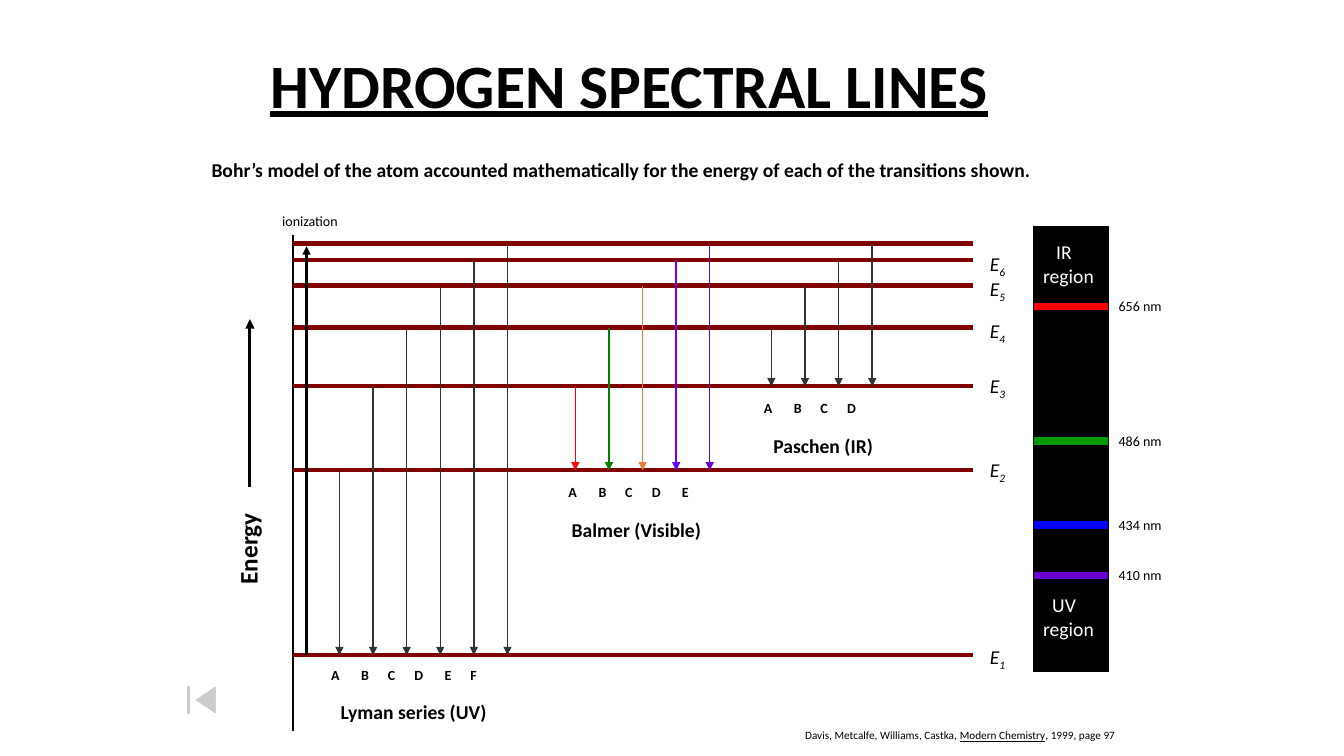
import pptx
import pptx.dml.color
import pptx.enum.shapes
import pptx.enum.text
import pptx.oxml
import pptx.oxml.ns
import pptx.util

Pt = pptx.util.Pt
RGBColor = pptx.dml.color.RGBColor
SHAPE = pptx.enum.shapes.MSO_SHAPE

BLACK = RGBColor(0x00, 0x00, 0x00)
WHITE = RGBColor(0xFF, 0xFF, 0xFF)
MAROON = RGBColor(0x80, 0x00, 0x00)
GRAY = RGBColor(0x33, 0x33, 0x33)
RED = RGBColor(0xFF, 0x00, 0x00)
GREEN = RGBColor(0x00, 0x80, 0x00)
BAND_GREEN = RGBColor(0x00, 0x99, 0x00)
ORANGE = RGBColor(0xED, 0x7D, 0x31)
BLUE = RGBColor(0x00, 0x00, 0xFF)
VIOLET = RGBColor(0x66, 0x00, 0xFF)
PURPLE = RGBColor(0x66, 0x00, 0xCC)

AXIS_X, LEVEL_END = 209, 695
LEVEL_Y = {1: 468, 2: 336, 3: 276, 4: 234, 5: 204, 6: 186, 7: 174}
LEVEL_LABEL_TOP = {1: 457, 2: 323.5, 3: 263.5, 4: 224, 5: 194.5, 6: 176.5}
ARROW_STEP = 24
LETTER_TABS = (21.5, 40.5, 59.5, 81, 99.5)

# name, lower level, first arrow x, arrow colours, label left, label top, name indent
SERIES = (
    ("Lyman series (UV)", 1, 242.5, [GRAY] * 6, 229.5, 472.5, 6.8),
    ("Balmer (Visible)", 2, 411, [RED, GREEN, ORANGE, VIOLET, PURPLE], 399, 342, 2.3),
    ("Paschen (IR)", 3, 551, [GRAY] * 4, 538.5, 282, 6.8),
)
SPECTRUM_LEFT, SPECTRUM_WIDTH = 738, 54
BAND_HEIGHT = 6
BANDS = (("656 nm", 216, RED), ("486 nm", 312, BAND_GREEN),
         ("434 nm", 372, BLUE), ("410 nm", 408, PURPLE))
REGIONS = (("IR", 168, 9.3), ("UV", 420, 6.5))


def add_span(para, text, size=14, color=BLACK, bold=False, italic=False,
             underline=False, baseline=None):
    span = para.add_run()
    span.text = text
    font = span.font
    font.name, font.size, font.color.rgb = "Calibri", Pt(size), color
    font.bold, font.italic, font.underline = bold, italic, underline
    if baseline is not None:
        font._element.set("baseline", str(baseline))
    return span


def add_child(parent, tag, **attributes):
    child = pptx.oxml.parse_xml(f"<a:{tag} {pptx.oxml.ns.nsdecls('a')}/>")
    for name, value in attributes.items():
        child.set(name, str(value))
    parent.append(child)
    return child


def indent(para, distance):
    properties = para._p.get_or_add_pPr()
    properties.set("marL", str(Pt(distance)))
    properties.set("indent", "0")


def set_tabs(para, stops):
    tabs = add_child(para._p.get_or_add_pPr(), "tabLst")
    for stop in stops:
        add_child(tabs, "tab", pos=Pt(stop), algn="l")


class Diagram:
    """Holds the current slide and draws each kind of element, in points."""

    def __init__(self, slide):
        self.slide = slide

    def title(self, text, left, top, width, height):
        box = self.slide.shapes.title
        box.left, box.top, box.width, box.height = map(Pt, (left, top, width, height))
        box.fill.solid()
        box.fill.fore_color.rgb = WHITE
        frame = box.text_frame
        frame.auto_size = pptx.enum.text.MSO_AUTO_SIZE.NONE
        frame.vertical_anchor = pptx.enum.text.MSO_ANCHOR.MIDDLE
        para = frame.paragraphs[0]
        para.alignment = pptx.enum.text.PP_ALIGN.LEFT
        para.line_spacing = 0.9
        add_span(para, text, size=44, bold=True, underline=True)

    def box(self, left, top, width, height):
        box = self.slide.shapes.add_textbox(*map(Pt, (left, top, width, height)))
        box.text_frame.word_wrap = True
        return box

    def label(self, text, left, top, width, height, **style):
        box = self.box(left, top, width, height)
        add_span(box.text_frame.paragraphs[0], text, **style)
        return box

    def line(self, start, end, color, weight, arrow=False):
        line = self.slide.shapes.add_connector(
            pptx.enum.shapes.MSO_CONNECTOR.STRAIGHT, *map(Pt, (*start, *end)))
        line.line.color.rgb = color
        line.line.width = Pt(weight)
        if arrow:
            add_child(line.line._get_or_add_ln(), "tailEnd", type="triangle")
        add_child(line._element.spPr, "effectLst")

    def shape(self, kind, left, top, width, height, fill, outline):
        shape = self.slide.shapes.add_shape(kind, *map(Pt, (left, top, width, height)))
        shape.shadow.inherit = False
        shape.fill.solid()
        shape.fill.fore_color.rgb = fill
        shape.line.color.rgb = outline
        shape.line.width = Pt(0.75)
        return shape

    def series_label(self, name, letters, left, top, name_indent):
        frame = self.box(left, top, 130, 48).text_frame
        para = frame.paragraphs[0]
        set_tabs(para, LETTER_TABS[:len(letters) - 1])
        add_span(para, "\t".join(letters), size=10, bold=True)
        para = frame.add_paragraph()
        indent(para, name_indent)
        para.space_before = Pt(12.2)
        add_span(para, name, bold=True)

    def region_label(self, name, top, name_indent):
        box = self.box(SPECTRUM_LEFT, top, SPECTRUM_WIDTH, 41)
        box.text_frame.margin_right = 0
        para = box.text_frame.paragraphs[0]
        indent(para, name_indent)
        add_span(para, name, color=WHITE)
        add_span(box.text_frame.add_paragraph(), "region", color=WHITE)


def draw_levels(diagram):
    diagram.line((AXIS_X, 168), (AXIS_X, 522), BLACK, 1.5)
    for y in LEVEL_Y.values():
        diagram.line((AXIS_X, y), (LEVEL_END, y), MAROON, 3)
    for level, top in LEVEL_LABEL_TOP.items():
        box = diagram.label("E", 700, top, 28, 24.5, italic=True)
        add_span(box.text_frame.paragraphs[0], str(level), italic=True, baseline=-25000)


def draw_series(diagram):
    for name, lower, first_x, colors, left, top, name_indent in SERIES:
        for index, color in enumerate(colors):
            x = first_x + index * ARROW_STEP
            upper = lower + 1 + index
            diagram.line((x, LEVEL_Y[upper]), (x, LEVEL_Y[lower]), color, 1, arrow=True)
        diagram.series_label(name, "ABCDEF"[:len(colors)], left, top, name_indent)


def draw_spectrum(diagram):
    diagram.shape(SHAPE.RECTANGLE, SPECTRUM_LEFT, 162, SPECTRUM_WIDTH, 318, BLACK, BLACK)
    for wavelength, top, color in BANDS:
        diagram.shape(SHAPE.RECTANGLE, SPECTRUM_LEFT, top, SPECTRUM_WIDTH,
                      BAND_HEIGHT, color, BLACK)
        diagram.label(wavelength, 792, top + BAND_HEIGHT / 2 - 9.7, 50, 19.4, size=10)
    for region in REGIONS:
        diagram.region_label(*region)


def main():
    deck = pptx.Presentation()
    deck.slide_width, deck.slide_height = Pt(960), Pt(540)
    diagram = Diagram(deck.slides.add_slide(deck.slide_layouts[5]))

    diagram.title("HYDROGEN SPECTRAL LINES", 186, 18, 612, 90)
    diagram.label("Bohr’s model of the atom accounted mathematically for the energy "
                  "of each of the transitions shown.", 144, 109, 610, 24.5, bold=True)
    draw_levels(diagram)
    draw_series(diagram)
    draw_spectrum(diagram)

    energy = diagram.label("Energy", 144, 377, 66, 29, size=18, bold=True)
    energy.text_frame.word_wrap = False
    energy.rotation = 270
    diagram.line((178.5, 348), (178.5, 228), BLACK, 2.25, arrow=True)
    diagram.line((219, LEVEL_Y[1]), (219, 176), BLACK, 1.75, arrow=True)
    diagram.label("ionization", 194.5, 148, 60, 19.5, size=10)

    source = diagram.label("Davis, Metcalfe, Williams, Castka, ", 568, 517, 250, 17, size=8)
    para = source.text_frame.paragraphs[0]
    add_span(para, "Modern Chemistry", size=8, underline=True)
    add_span(para, ", 1999, page 97", size=8)

    button = diagram.shape(SHAPE.ACTION_BUTTON_BEGINNING, 120, 486, 48, 28, WHITE, WHITE)
    fill_color = button._element.spPr.find(".//" + pptx.oxml.ns.qn("a:srgbClr"))
    add_child(fill_color, "alpha", val=50000)

    deck.save("out.pptx")


if __name__ == "__main__":
    main()
